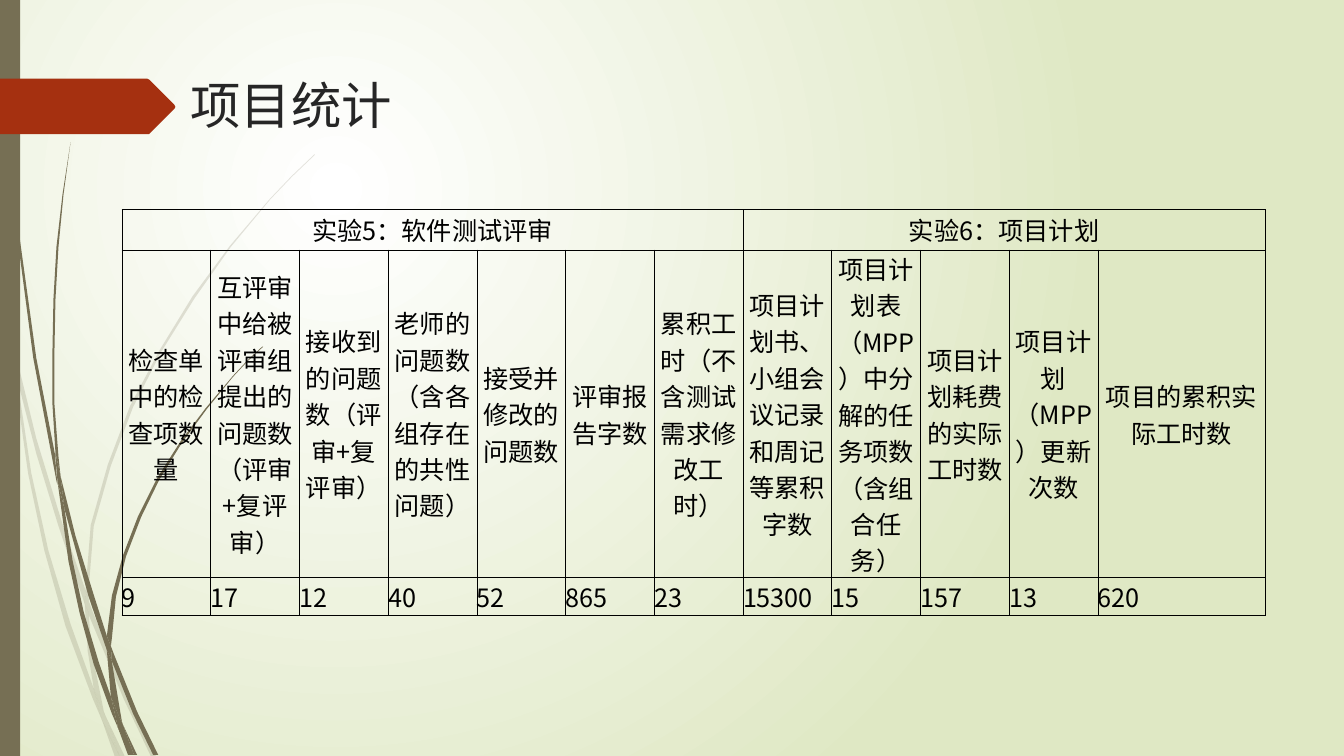
import pptx
import pptx.util
import pptx.dml.color
import pptx.enum.shapes
import pptx.enum.text
import pptx.oxml
import pptx.oxml.ns

PX = 9144
WHITE = pptx.dml.color.RGBColor(0xFF, 0xFF, 0xFF)
PALE_GREEN = pptx.dml.color.RGBColor(0xDF, 0xE8, 0xC4)
OLIVE = pptx.dml.color.RGBColor(0x76, 0x6F, 0x54)
RUST = pptx.dml.color.RGBColor(0xA5, 0x30, 0x10)
CHARCOAL = pptx.dml.color.RGBColor(0x26, 0x26, 0x26)
BLACK = pptx.dml.color.RGBColor(0, 0, 0)
CJK_FONT = "Noto Sans CJK SC"
qn = pptx.oxml.ns.qn
NAMESPACE = pptx.oxml.ns.nsdecls("a")


def draw_outline(shapes, points, color):
    builder = shapes.build_freeform(*points[0], scale=PX)
    builder.add_line_segments(points[1:], close=True)
    shape = builder.convert_to_shape()
    shape.shadow.inherit = False
    shape.fill.solid()
    shape.fill.fore_color.rgb = color
    shape.line.fill.background()
    return shape


def write_text(paragraph, text, color, format_values):
    run = paragraph.add_run()
    run.text = text
    for name, value in format_values.items():
        setattr(run.font, name, value)
    run.font.color.rgb = color
    run.font._element.append(pptx.oxml.parse_xml(f'<a:ea {NAMESPACE} typeface="{CJK_FONT}"/>'))


presentation = pptx.Presentation()
presentation.slide_width = 1333 * PX
presentation.slide_height = 750 * PX
slide = presentation.slides.add_slide(presentation.slide_layouts[6])

background = slide.background.fill
background.gradient()
for stop, color in zip(background.gradient_stops, (WHITE, PALE_GREEN)):
    stop.color.rgb = color
gradient = slide.element.find(".//" + qn("a:gradFill"))
gradient.replace(gradient.find(qn("a:lin")), pptx.oxml.parse_xml(
    f'<a:path {NAMESPACE} path="circle">'
    '<a:fillToRect l="50000" t="50000" r="100000" b="100000"/></a:path>'))

faint_grass = [
    [(11, 350), (9, 322), (0, 282), (0, 299), (10, 344)],
    [(58, 522), (84, 599), (85, 586), (62, 520), (36, 435), (14, 345), (17, 376), (36, 450)],
    [(92, 607), (88, 596), (88, 610), (123, 694), (150, 751), (155, 751), (127, 692)],
    [(119, 751), (124, 751), (105, 711)],
    [(93, 683), (70, 619), (48, 546), (31, 469), (17, 376), (11, 350), (28, 470),
     (44, 546), (65, 621), (92, 693), (101, 714), (99, 707)],
    [(84, 599), (87, 646), (93, 683), (96, 692), (105, 711), (103, 706), (91, 646),
     (88, 610), (88, 608)],
    [(88, 584), (93, 522), (110, 462), (132, 404), (160, 349), (193, 296), (229, 245),
     (268, 198), (290, 175), (312, 154), (312, 153), (289, 175), (268, 197), (228, 244),
     (191, 294), (158, 348), (129, 403), (107, 461), (90, 521), (85, 584), (85, 586), (88, 596)],
    [(101, 714), (114, 751), (119, 751)],
    [(88, 608), (88, 610), (88, 596), (85, 586), (84, 599)],
    [(96, 692), (93, 683), (99, 707), (101, 714), (119, 751), (105, 711)],
]
dark_grass = [
    [(7, 110), (17, 233), (33, 355), (56, 477), (57, 481), (55, 457), (55, 453), (36, 355),
     (19, 232), (8, 109), (5, 48), (4, 0), (3, 0), (4, 48)],
    [(88, 592), (106, 645), (106, 633), (106, 631), (93, 590), (75, 532), (60, 472), (64, 505)],
    [(113, 649), (110, 641), (111, 656), (132, 708), (152, 749), (157, 749), (136, 706)],
    [(110, 691), (98, 657), (83, 607), (72, 556), (64, 505), (57, 477), (68, 557), (79, 608),
     (93, 659), (111, 708), (117, 722), (116, 717)],
    [(60, 472), (58, 453), (54, 401), (54, 349), (55, 297), (58, 245), (63, 193), (70, 141),
     (62, 193), (56, 245), (53, 297), (52, 349), (52, 401), (55, 449)],
    [(133, 749), (136, 749), (122, 719)],
    [(57, 477), (64, 505), (60, 472), (55, 449), (55, 453)],
    [(111, 633), (115, 592), (125, 552), (140, 513), (158, 476), (180, 440), (205, 406),
     (231, 374), (245, 359), (261, 344), (260, 344), (245, 358), (231, 373), (204, 405),
     (179, 438), (156, 474), (137, 512), (122, 551), (111, 591), (106, 631), (110, 641)],
    [(117, 722), (127, 749), (131, 749)],
    [(106, 645), (110, 691), (116, 706), (122, 719), (121, 716), (111, 656), (109, 651)],
    [(106, 645), (109, 651), (111, 656), (110, 641), (106, 631), (106, 633)],
    [(116, 706), (110, 691), (116, 717), (117, 722), (130, 749), (133, 749), (122, 719)],
]
for blades, opacity in ((faint_grass, 20), (dark_grass, 100)):
    grass = slide.shapes.add_group_shape()
    for points in blades:
        blade = draw_outline(grass.shapes, points, OLIVE)
        if opacity < 100:
            color_element = blade.element.spPr.find(qn("a:solidFill"))[0]
            color_element.append(pptx.oxml.parse_xml(
                f'<a:alpha {NAMESPACE} val="{opacity * 1000}"/>'))

side_bar = slide.shapes.add_shape(
    pptx.enum.shapes.MSO_SHAPE.RECTANGLE, 0, 0, 20 * PX, 750 * PX)
side_bar.shadow.inherit = False
side_bar.fill.solid()
side_bar.fill.fore_color.rgb = OLIVE
side_bar.line.fill.background()

draw_outline(slide.shapes, [
    (0, 78), (146, 78), (148, 79), (173, 104), (174, 106), (173, 108),
    (148, 133), (146, 133), (0, 133)], RUST)

title = slide.shapes.add_textbox(179 * PX, 69 * PX, 975 * PX, 140 * PX)
title.text_frame.word_wrap = True
write_text(title.text_frame.paragraphs[0], "项目统计", CHARCOAL,
           {"name": "League Spartan", "size": pptx.util.Pt(36)})

headings = [
    "检查单中的检查项数量", "互评审中给被评审组提出的问题数（评审+复评审）",
    "接收到的问题数（评审+复评审）", "老师的问题数（含各组存在的共性问题）",
    "接受并修改的问题数", "评审报告字数", "累积工时（不含测试需求修改工时）",
    "项目计划书、小组会议记录和周记等累积字数", "项目计划表（MPP）中分解的任务项数（含组合任务）",
    "项目计划耗费的实际工时数", "项目计划（MPP）更新次数", "项目的累积实际工时数",
]
values = ["9", "17", "12", "40", "52", "865", "23", "15300", "15", "157", "13", "620"]
experiments = ["实验5：软件测试评审"] + [""] * 6 + ["实验6：项目计划"] + [""] * 4

column_widths = [88] * 11 + [166]
row_heights = [40, 325, 37]
table = slide.shapes.add_table(
    3, 12, 121 * PX, 208 * PX, sum(column_widths) * PX, sum(row_heights) * PX).table
table.first_row = False
table.horz_banding = False
for column, width in zip(table.columns, column_widths):
    column.width = width * PX
for row, height in zip(table.rows, row_heights):
    row.height = height * PX

cell_format = {"margin_left": 0, "margin_top": 0, "margin_right": 0, "margin_bottom": 0,
               "vertical_anchor": pptx.enum.text.MSO_ANCHOR.MIDDLE}
cell_font = {"name": CJK_FONT, "size": pptx.util.Pt(18)}
for row_index, texts in enumerate((experiments, headings, values)):
    for column_index, text in enumerate(texts):
        cell = table.cell(row_index, column_index)
        for name, value in cell_format.items():
            setattr(cell, name, value)
        cell.fill.background()
        for position, side in enumerate(("lnL", "lnR", "lnT", "lnB")):
            cell._tc.tcPr.insert(position, pptx.oxml.parse_xml(
                f'<a:{side} {NAMESPACE} w="6350"><a:solidFill>'
                f'<a:srgbClr val="{BLACK}"/></a:solidFill></a:{side}>'))
        if text:
            paragraph = cell.text_frame.paragraphs[0]
            if row_index < 2:
                paragraph.alignment = pptx.enum.text.PP_ALIGN.CENTER
            write_text(paragraph, text, BLACK, cell_font)
for first, last in ((0, 6), (7, 11)):
    table.cell(0, first).merge(table.cell(0, last))

presentation.save("out.pptx")
